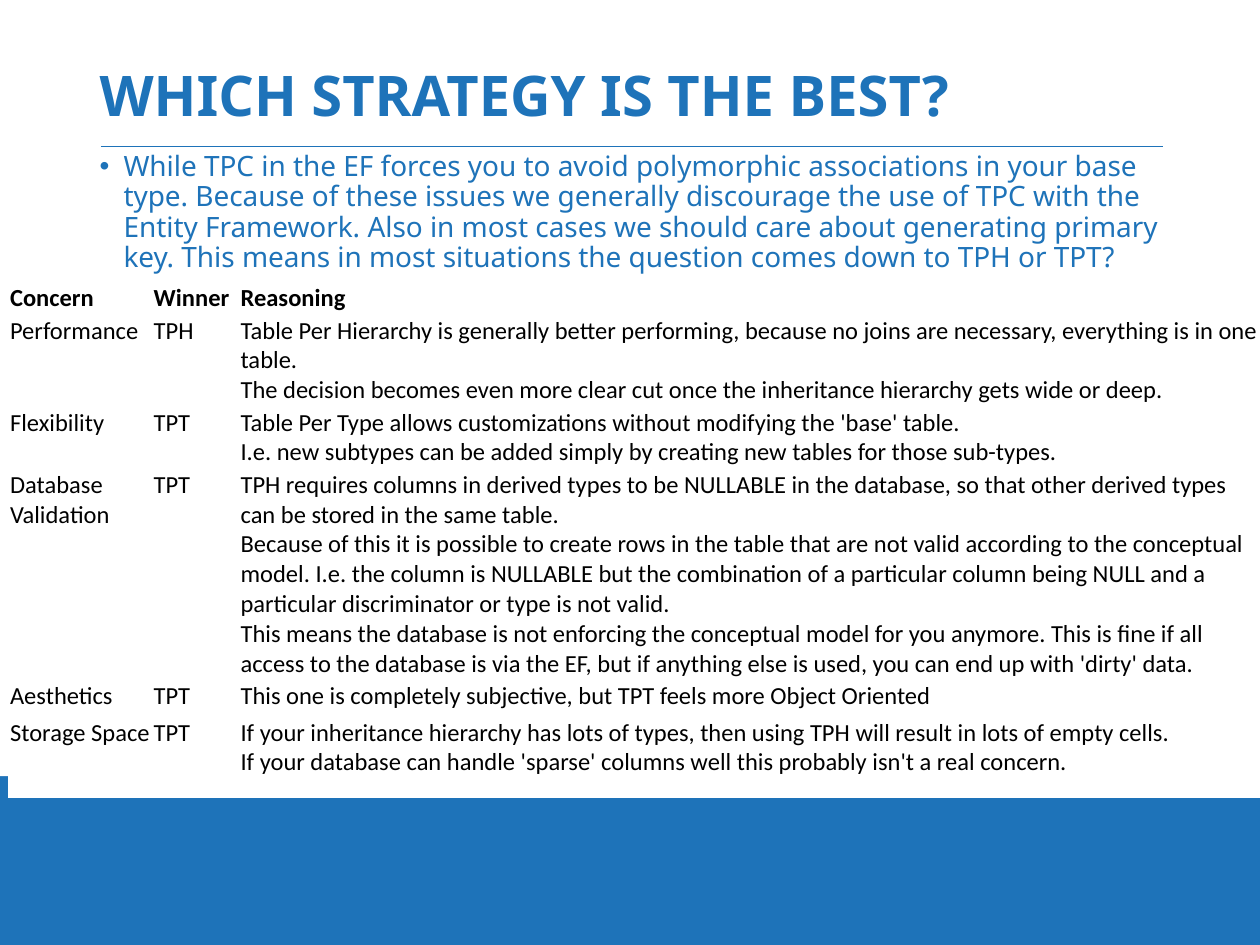
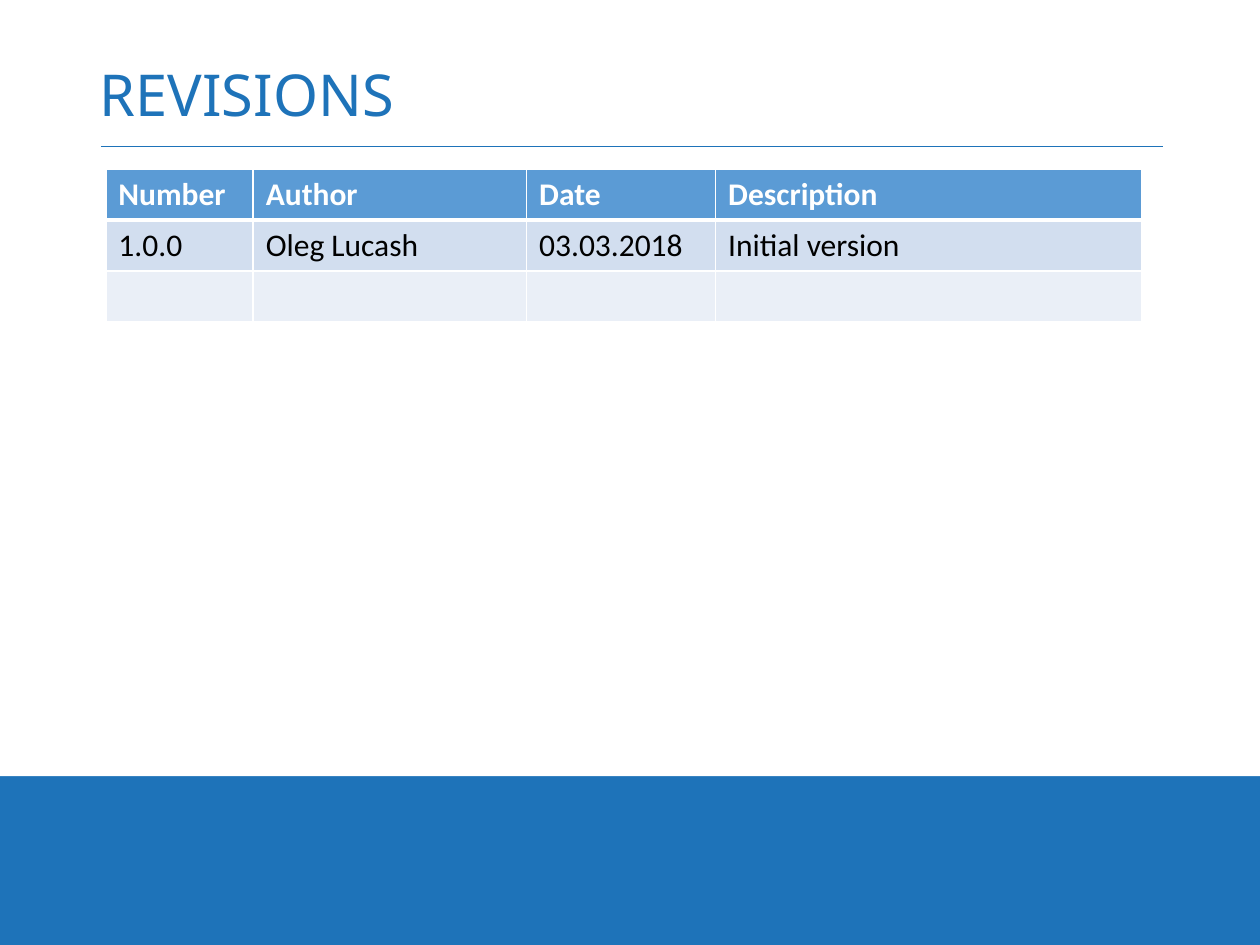
from copy import deepcopy

from lxml import etree
from pptx import Presentation
from pptx.dml.color import RGBColor
from pptx.enum.shapes import MSO_CONNECTOR, MSO_SHAPE
from pptx.enum.text import MSO_ANCHOR, MSO_AUTO_SIZE, PP_ALIGN
from pptx.oxml.ns import qn
from pptx.util import Inches, Pt

RECT = MSO_SHAPE.RECTANGLE
STRAIGHT = MSO_CONNECTOR.STRAIGHT
MIDDLE = MSO_ANCHOR.MIDDLE
TOP = MSO_ANCHOR.TOP
LEFT = PP_ALIGN.LEFT
NO_FIT = MSO_AUTO_SIZE.NONE

BLUE = RGBColor(0x1E, 0x73, 0xB9)
WHITE = RGBColor(0xFF, 0xFF, 0xFF)
BLACK = RGBColor(0, 0, 0)
HEAD = RGBColor(0x5B, 0x9B, 0xD5)
BAND = RGBColor(0xD2, 0xDE, 0xEF)
PALE = RGBColor(0xEA, 0xEF, 0xF7)
SANS = "Noto Sans"
BODY = "Calibri"


def write(frame, text, size=14, font=BODY, color=BLACK, bold=False,
          spacing=None, before=None):
    """Put text in a frame as one left-aligned paragraph and return it."""
    para = frame.paragraphs[0]
    para.text = text
    para.alignment = LEFT
    para.line_spacing = spacing
    para.space_before = before
    for run in para.runs:
        run.font.size = Pt(size)
        run.font.name = font
        run.font.color.rgb = color
        run.font.bold = bold
    # A line break needs the run format too, or it sets its own line height.
    for mark in para._p.findall(qn("a:br")):
        mark.insert(0, deepcopy(para.runs[0]._r.rPr))
    return para


def make_table(slide, left, top, cols, rows):
    """Add a table with the given column widths and row heights in inches."""
    table = slide.shapes.add_table(
        len(rows), len(cols), Inches(left), Inches(top),
        Inches(sum(cols)), Inches(sum(rows))).table
    for col, width in zip(table.columns, cols):
        col.width = Inches(width)
    for row, height in zip(table.rows, rows):
        row.height = Inches(height)
    return table


deck = Presentation()
deck.slide_width = Inches(10)
deck.slide_height = Inches(7.5)

# Shared layout: blue ground, title and body places
layout = deck.slide_layouts[1]
layout.background.fill.solid()
layout.background.fill.fore_color.rgb = BLUE
PLACES = {0: (0.4, 0.76, MIDDLE), 1: (1.16, 4.62, TOP)}
for holder in list(layout.placeholders):
    key = holder.placeholder_format.idx
    if key not in PLACES:
        holder.element.getparent().remove(holder.element)
        continue
    top, height, anchor = PLACES[key]
    holder.left, holder.top = Inches(0.69), Inches(top)
    holder.width, holder.height = Inches(8.62), Inches(height)
    holder.text_frame.vertical_anchor = anchor
    holder.text_frame.auto_size = NO_FIT

best = deck.slides.add_slide(layout)
log = deck.slides.add_slide(layout)

# White panel and title rule, drawn once and moved to the layout
panel = best.shapes.add_shape(RECT, 0, 0, Inches(10), Inches(6.16))
panel.shadow.inherit = False
panel.fill.solid()
panel.fill.fore_color.rgb = WHITE
panel.line.fill.background()
rule = best.shapes.add_connector(
    STRAIGHT, Inches(0.8), Inches(1.16), Inches(9.23), Inches(1.16))
rule.line.color.rgb = BLUE
rule.line.width = Pt(0.5)
etree.SubElement(rule.element.spPr, qn("a:effectLst"))
for spot, part in enumerate((panel, rule), 2):
    layout.shapes.element.insert(spot, part.element)

# Slide 1: strategies compared
write(best.shapes.title.text_frame, "WHICH STRATEGY IS THE BEST?",
      size=32, font=SANS, color=BLUE, bold=True, spacing=0.9)
intro = write(
    best.placeholders[1].text_frame,
    "While TPC in the EF forces you to avoid polymorphic associations in your "
    "base type. Because of these issues we generally discourage the use of TPC "
    "with the Entity Framework. Also in most cases we should care about "
    "generating primary key. This means in most situations the question comes "
    "down to TPH or TPT?",
    size=16, font=SANS, color=BLUE, spacing=0.9, before=Pt(7.5))
props = intro._p.get_or_add_pPr()
props.set("marL", str(Inches(0.19)))
props.set("indent", str(-Inches(0.19)))
etree.SubElement(props, qn("a:buChar"), char="•")

CONCERNS = [
    ("Сoncern", "Winner", "Reasoning"),
    ("Performance", "TPH",
     "Table Per Hierarchy is generally better performing, because no joins are "
     "necessary, everything is in one table.\n"
     "The decision becomes even more clear cut once the inheritance hierarchy "
     "gets wide or deep."),
    ("Flexibility", "TPT",
     "Table Per Type allows customizations without modifying the 'base' table.\n"
     "I.e. new subtypes can be added simply by creating new tables for those "
     "sub-types."),
    ("Database Validation", "TPT",
     "TPH requires columns in derived types to be NULLABLE in the database, so "
     "that other derived types can be stored in the same table.\n"
     "Because of this it is possible to create rows in the table that are not "
     "valid according to the conceptual model. I.e. the column is NULLABLE but "
     "the combination of a particular column being NULL and a particular "
     "discriminator or type is not valid.\n"
     "This means the database is not enforcing the conceptual model for you "
     "anymore. This is fine if all access to the database is via the EF, but if "
     "anything else is used, you can end up with 'dirty' data."),
    ("Aesthetics", "TPT",
     "This one is completely subjective, but TPT feels more Object Oriented"),
    ("Storage Space", "TPT",
     "If your inheritance hierarchy has lots of types, then using TPH will "
     "result in lots of empty cells.\n"
     "If your database can handle 'sparse' columns well this probably isn't a "
     "real concern."),
]
table = make_table(best, 0.07, 2.24, (1.14, 0.69, 8.1),
                   (0.24, 0.7, 0.47, 1.6, 0.29, 0.64))
table.first_row = False
table.horz_banding = False
for r, row in enumerate(CONCERNS):
    for c, text in enumerate(row):
        cell = table.cell(r, c)
        cell.margin_left = cell.margin_right = Inches(0.01)
        cell.margin_top = cell.margin_bottom = Inches(0.01)
        cell.fill.solid()
        cell.fill.fore_color.rgb = WHITE
        write(cell.text_frame, text, bold=r == 0)

# Slide 2: revision log
write(log.shapes.title.text_frame, "REVISIONS",
      size=33, font=SANS, color=BLUE, spacing=0.9)
spare = log.placeholders[1].element
spare.getparent().remove(spare)

ENTRIES = [
    ("Number", "Author", "Date", "Description"),
    ("1.0.0", "Oleg Lucash", "03.03.2018", "Initial version"),
    ("", "", "", ""),
]
FILLS = (HEAD, BAND, PALE)
table = make_table(log, 0.84, 1.34, (1.17, 2.17, 1.5, 3.38), (0.38,) * 3)
for r, (row, tint) in enumerate(zip(ENTRIES, FILLS)):
    for c, text in enumerate(row):
        cell = table.cell(r, c)
        cell.fill.solid()
        cell.fill.fore_color.rgb = tint
        if text:
            write(cell.text_frame, text, size=18, bold=r == 0,
                  color=WHITE if r == 0 else BLACK)
        # White grid, with a thick line under the header
        thick = {(0, "lnB"): 3, (1, "lnT"): 3}
        frame = cell._tc.get_or_add_tcPr()
        for spot, side in enumerate(("lnL", "lnR", "lnT", "lnB")):
            edge = etree.Element(qn("a:" + side),
                                 w=str(Pt(thick.get((r, side), 1))))
            paint = etree.SubElement(edge, qn("a:solidFill"))
            etree.SubElement(paint, qn("a:srgbClr"), val=str(WHITE))
            frame.insert(spot, edge)

deck.save("out.pptx")
